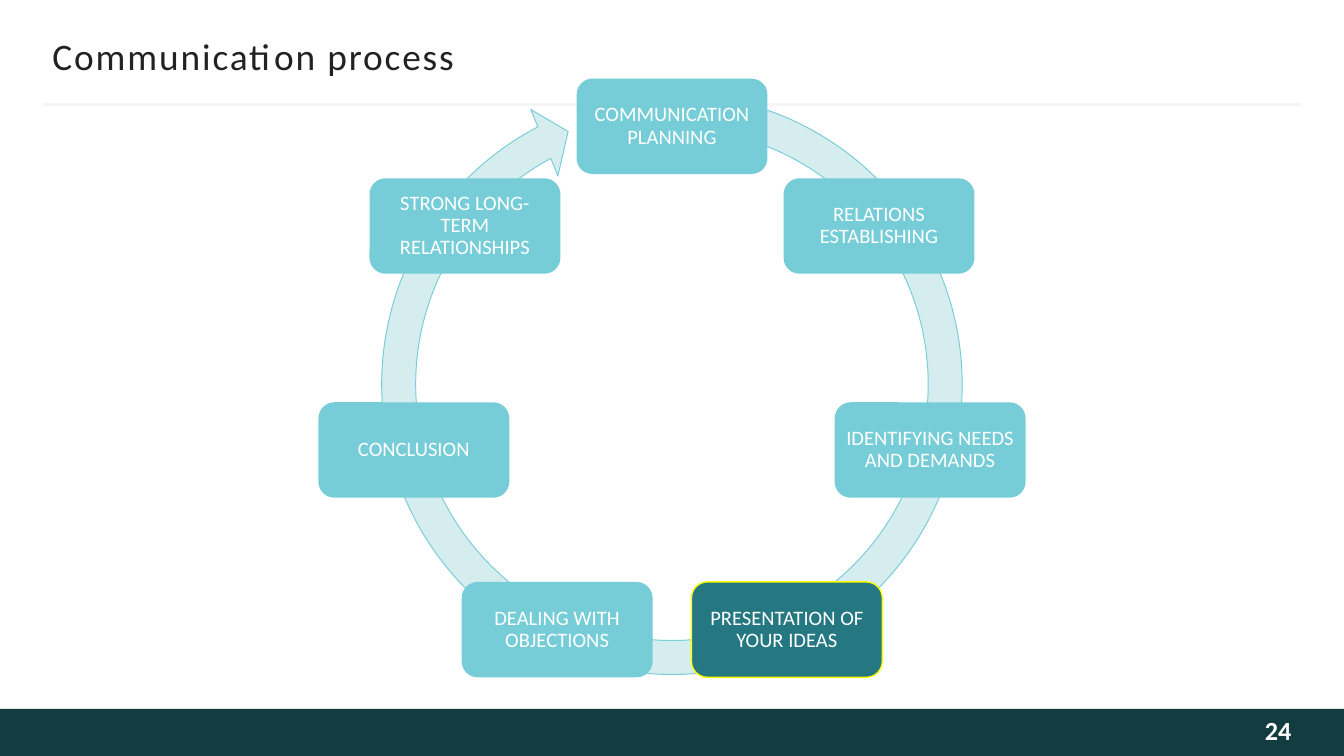
from dataclasses import dataclass
from math import cos, radians, sin

from lxml import etree
from pptx import Presentation
from pptx import util as u
from pptx.dml.color import RGBColor
from pptx.enum import shapes, text
from pptx.oxml.ns import qn

WIDTH = 10
HEIGHT = WIDTH * 9 / 16
FONT = "Calibri"
COLORS = {
    "footer": "133C41", "rule": "F5F5F5", "title": "222222", "number": "FEFEFE",
    "ring": "D6EDF0", "step": "76CDD8", "current": "257882",
    "outline": "FFFF00", "white": "FFFFFF",
}
FOOTER_HEIGHT = 0.35
FOOTER_TOP = HEIGHT - FOOTER_HEIGHT
CENTER_X, CENTER_Y, RADIUS = WIDTH / 2, 2.91, 1.97
STEP_WIDTH, STEP_HEIGHT = 1.42, 0.71
RING_SIZE = 4.6


@dataclass
class Step:
    label: str
    current: bool = False


STEPS = [
    Step("COMMUNICATION PLANNING"),
    Step("RELATIONS ESTABLISHING"),
    Step("IDENTIFYING NEEDS AND DEMANDS"),
    Step("PRESENTATION OF YOUR IDEAS", current=True),
    Step("DEALING WITH OBJECTIONS"),
    Step("CONCLUSION"),
    Step("STRONG LONG-TERM RELATIONSHIPS"),
]


def color(name: str) -> RGBColor:
    return RGBColor.from_string(COLORS[name])


def inches(*lengths: float) -> list:
    return [u.Inches(length) for length in lengths]


def write(box, words: str, size: float, ink: str, align, insets: tuple, bold=False):
    """Put one formatted paragraph in a box and return its paragraph."""
    frame = box.text_frame
    frame.text = words
    frame.word_wrap = True
    frame.auto_size = text.MSO_AUTO_SIZE.NONE
    frame.vertical_anchor = text.MSO_ANCHOR.MIDDLE
    (frame.margin_left, frame.margin_top,
     frame.margin_right, frame.margin_bottom) = inches(*insets)
    para = frame.paragraphs[0]
    para.alignment = align
    font = para.runs[0].font
    font.name, font.size, font.bold = FONT, u.Pt(size), bold
    font.color.rgb = color(ink)
    return para


def add_shape(page, kind, left, top, width, height, fill, line=None, weight=0.5):
    shape = page.shapes.add_shape(kind, *inches(left, top, width, height))
    shape.shadow.inherit = False
    shape.fill.solid()
    shape.fill.fore_color.rgb = color(fill)
    if line:
        shape.line.color.rgb = color(line)
        shape.line.width = u.Pt(weight)
    else:
        shape.line.fill.background()
    return shape


def add_rule(page, left: float, right: float, y: float) -> None:
    rule = page.shapes.add_connector(
        shapes.MSO_CONNECTOR.STRAIGHT, *inches(left, y, right, y))
    rule.line.color.rgb = color("rule")
    rule.line.width = u.Pt(1.5)
    etree.SubElement(rule.element.spPr, qn("a:effectLst"))


def add_ring(page) -> None:
    ring = add_shape(page, shapes.MSO_SHAPE.CIRCULAR_ARROW,
                     CENTER_X - RING_SIZE / 2, 0.56, RING_SIZE, RING_SIZE,
                     "ring", "step")
    # Angles are stored as 0.6 units per degree
    for index, value in enumerate((0.055, 3.307, 145.298, 169.422, 0.058)):
        ring.adjustments[index] = value


def add_step(page, step: Step, angle: float) -> None:
    left = CENTER_X + RADIUS * sin(angle) - STEP_WIDTH / 2
    top = CENTER_Y - RADIUS * cos(angle) - STEP_HEIGHT / 2
    box = add_shape(page, shapes.MSO_SHAPE.ROUNDED_RECTANGLE,
                    left, top, STEP_WIDTH, STEP_HEIGHT,
                    "current" if step.current else "step",
                    "outline" if step.current else None, 0.75)
    para = write(box, step.label, 11, "white", text.PP_ALIGN.CENTER, (0.05,) * 4)
    para.line_spacing = 0.9


def main() -> None:
    deck = Presentation()
    deck.slide_width, deck.slide_height = inches(WIDTH, HEIGHT)
    page = deck.slides.add_slide(deck.slide_layouts[5])

    # Footer band and rule under the title
    add_shape(page, shapes.MSO_SHAPE.RECTANGLE,
              0, FOOTER_TOP, WIDTH, FOOTER_HEIGHT, "footer")
    add_rule(page, 0.32, WIDTH - 0.32, 0.78)

    # Title
    title = page.shapes.title
    title.left, title.top, title.width, title.height = inches(0.39, 0.25, 9.22, 0.33)
    para = write(title, "Communication process", 20, "title",
                 text.PP_ALIGN.LEFT, (0, 0.05, 0, 0.05))
    para.runs[0].font._element.set("spc", "100")

    # Page number
    number = page.shapes.add_textbox(*inches(8.11, FOOTER_TOP, 1.5, FOOTER_HEIGHT))
    write(number, "24", 14, "number", text.PP_ALIGN.RIGHT,
          (0.1, 0.05, 0, 0.09), bold=True)

    # Cycle: steps evenly spaced clockwise from the top
    add_ring(page)
    for index, step in enumerate(STEPS):
        add_step(page, step, radians(360 * index / len(STEPS)))

    deck.save("out.pptx")


if __name__ == "__main__":
    main()
